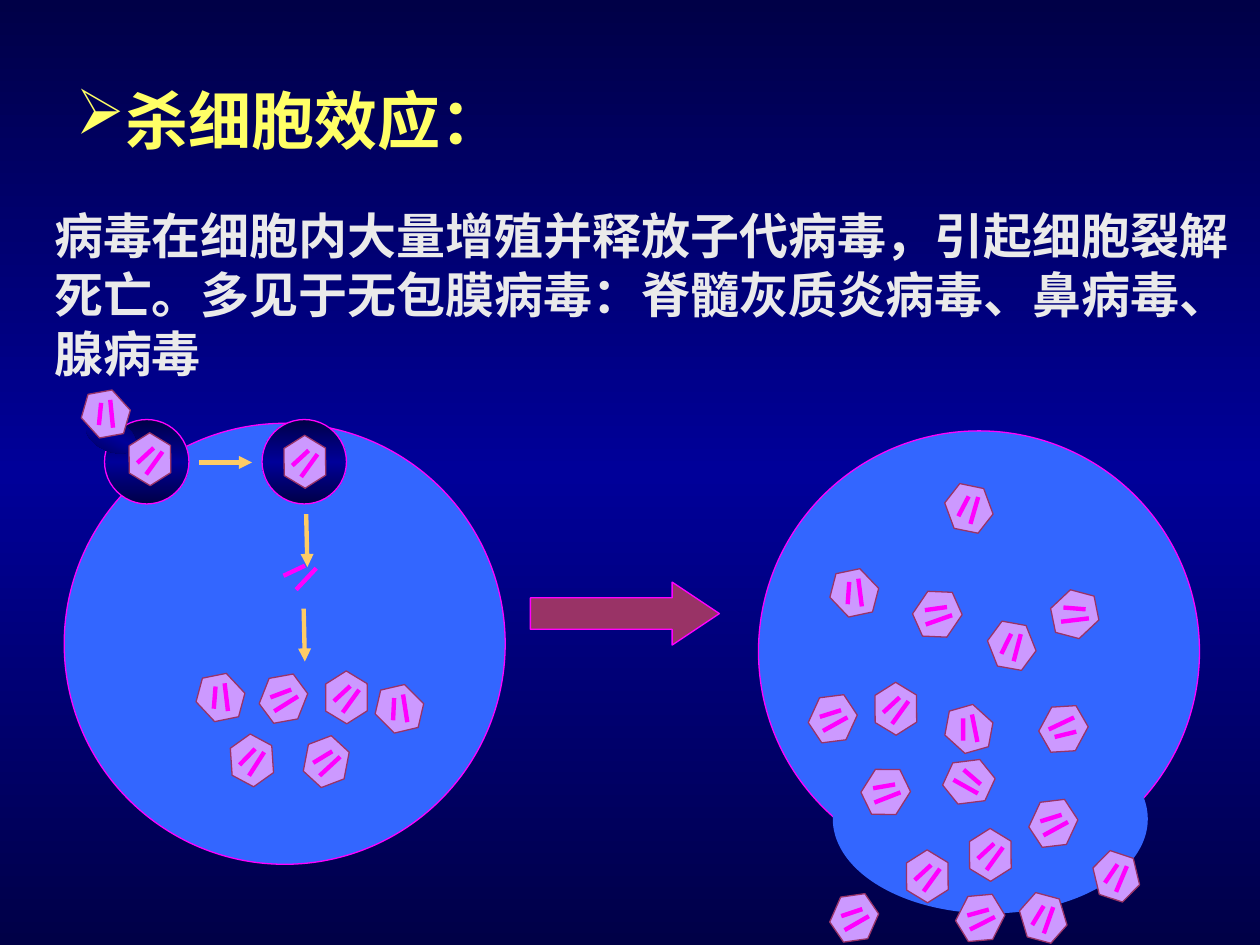
"""Build the slide on the cell-killing effect of viruses."""
from math import cos, radians, sin

from lxml import etree
from pptx import Presentation
from pptx.dml.color import RGBColor
from pptx.enum.shapes import MSO_CONNECTOR, MSO_SHAPE
from pptx.enum.text import MSO_ANCHOR, MSO_AUTO_SIZE, PP_ALIGN
from pptx.oxml.ns import qn
from pptx.util import Inches, Pt

OVAL, HEXAGON, RIGHT_ARROW = MSO_SHAPE.OVAL, MSO_SHAPE.HEXAGON, MSO_SHAPE.RIGHT_ARROW
STRAIGHT = MSO_CONNECTOR.STRAIGHT
LEFT, TOP, NO_FIT = PP_ALIGN.LEFT, MSO_ANCHOR.TOP, MSO_AUTO_SIZE.NONE

NIGHT = RGBColor(0x00, 0x00, 0x47)
NAVY = RGBColor(0x00, 0x00, 0x99)
CELL_BLUE = RGBColor(0x33, 0x66, 0xFF)
MAGENTA = RGBColor(0xFF, 0x00, 0xFF)
LILAC = RGBColor(0xCC, 0x99, 0xFF)
PLUM = RGBColor(0x99, 0x33, 0x66)
AMBER = RGBColor(0xFF, 0xCC, 0x66)
YELLOW = RGBColor(0xFF, 0xFF, 0x66)
PALE = RGBColor(0xEA, 0xEA, 0xEA)
FONT = "Times New Roman"

prs = Presentation()
prs.slide_width, prs.slide_height = Inches(10), Inches(7.5)
COL = prs.slide_width / 10
slide = prs.slides.add_slide(prs.slide_layouts[1])


def add_part(kind, box, fill=None, outline=None, turn=0):
    part = slide.shapes.add_shape(kind, *[int(COL * n) for n in box])
    part.shadow.inherit = False
    part.rotation = turn
    if fill is not None:
        part.fill.solid()
        part.fill.fore_color.rgb = fill
    if outline is None:
        part.line.fill.background()
    else:
        part.line.color.rgb = outline
        part.line.width = Pt(0.75)
    return part


def add_stroke(start, end, color, arrow=False):
    stroke = slide.shapes.add_connector(STRAIGHT, *[int(COL * n) for n in (*start, *end)])
    stroke.line.color.rgb = color
    stroke.line.width = Pt(2.5)
    if arrow:
        etree.SubElement(stroke.line._get_or_add_ln(), qn("a:tailEnd"), type="triangle")
    etree.SubElement(stroke._element.spPr, qn("a:effectLst"))


heading, explanation = slide.placeholders
for holder, box, text, size, color in [
    (heading, (0.5, 0.6, 3.95, 0.7), "杀细胞效应：", 36, YELLOW),
    (explanation, (0.33, 1.58, 9.67, 1.5),
     "病毒在细胞内大量增殖并释放子代病毒，引起细胞裂解死亡。"
     "多见于无包膜病毒：脊髓灰质炎病毒、鼻病毒、腺病毒", 28, PALE),
]:
    holder.left, holder.top, holder.width, holder.height = [int(COL * n) for n in box]
    frame = holder.text_frame
    frame.word_wrap, frame.auto_size, frame.vertical_anchor = True, NO_FIT, TOP
    paragraph = frame.paragraphs[0]
    props = paragraph._p.get_or_add_pPr()
    props.set("marL", "0")
    props.set("indent", "0")
    if holder is heading:
        bullet_color = etree.SubElement(props, qn("a:buClr"))
        etree.SubElement(bullet_color, qn("a:srgbClr"), val=str(YELLOW))
        etree.SubElement(props, qn("a:buChar"), char="➢")
    else:
        etree.SubElement(props, qn("a:buNone"))
    paragraph.alignment = LEFT
    paragraph.space_before = Pt(0)
    run = paragraph.add_run()
    run.text = text
    run.font.name, run.font.size, run.font.bold = FONT, Pt(size), True
    run.font.color.rgb = color

add_part(OVAL, (0.51, 3.36, 3.5, 3.5), CELL_BLUE, MAGENTA)
add_part(OVAL, (6.02, 3.42, 3.5, 3.5), CELL_BLUE, MAGENTA)
add_part(OVAL, (6.61, 5.75, 2.5, 1.5), CELL_BLUE)
entry_pit = add_part(OVAL, (0.83, 3.33, 0.67, 0.67), outline=MAGENTA)
pit_mouth = add_part(OVAL, (0.67, 3.33, 0.42, 0.25), turn=25.1)
vacuole = add_part(OVAL, (2.08, 3.33, 0.67, 0.67), outline=MAGENTA)

for backdrop in (slide.background, entry_pit, pit_mouth, vacuole):
    backdrop.fill.gradient()
    backdrop.fill.gradient_angle = 270
    stops = backdrop.fill._fill._gradFill.find(qn("a:gsLst"))
    for stop in list(stops):
        stops.remove(stop)
    for position, color in [(0, NIGHT), (50, NAVY), (100, NIGHT)]:
        stop = etree.SubElement(stops, qn("a:gs"), pos=str(position * 1000))
        etree.SubElement(stop, qn("a:srgbClr"), val=str(color))

VIRUS_W, VIRUS_H = 0.42, 0.33
UPRIGHT = 269.5
STRANDS = [((0.03, -0.09), (-0.1, 0.03)), ((0.1, -0.06), (-0.03, 0.12))]
viruses = [
    (0.63, 3.12, 227.9), (0.98, 3.48, 269.5), (2.21, 3.5, 269.5),
    (2.96, 5.46, 224.9), (2.54, 5.37, 269.5), (2.38, 5.88, 280.9),
    (2.04, 5.38, 291.6), (1.54, 5.37, 226.8), (1.79, 5.87, 266.3),
    (6.57, 7.12, 293.8), (7.48, 6.04, 352.9), (7.48, 5.62, 222.3),
    (6.82, 6.12, 302.3), (7.82, 4.96, 248.4), (8.32, 4.71, 316.7),
    (7.48, 3.87, 249.8), (7.23, 4.71, 304.2), (6.4, 5.54, 294.6),
    (8.07, 7.12, 253.3), (6.9, 5.46, 269.5), (6.57, 4.54, 226.3),
    (7.57, 7.12, 296.8), (7.15, 6.79, 269.5), (8.65, 6.79, 256.5),
    (7.65, 6.62, 269.5), (8.23, 5.62, 118.3), (8.15, 6.37, 294.9),
]
for left, top, turn in viruses:
    capsid = add_part(HEXAGON, (left, top, VIRUS_W, VIRUS_H), LILAC, PLUM, turn)
    capsid.adjustments[0] = 0.31
    center_x, center_y = left + VIRUS_W / 2, top + VIRUS_H / 2
    c, s = cos(radians(turn - UPRIGHT)), sin(radians(turn - UPRIGHT))
    for strand in STRANDS:
        start, end = [(center_x + x * c - y * s, center_y + x * s + y * c) for x, y in strand]
        add_stroke(start, end, MAGENTA)

for start, end in [((2.42, 4.49), (2.25, 4.57)), ((2.51, 4.51), (2.35, 4.68))]:
    add_stroke(start, end, MAGENTA)

for start, end in [((1.58, 3.67), (2, 3.67)), ((2.43, 4.08), (2.44, 4.5)),
                   ((2.41, 4.83), (2.42, 5.25))]:
    add_stroke(start, end, AMBER, arrow=True)

lysis_arrow = add_part(RIGHT_ARROW, (4.21, 4.62, 1.5, 0.5), PLUM, MAGENTA)
lysis_arrow.adjustments[0], lysis_arrow.adjustments[1] = 0.5, 0.75

prs.save("out.pptx")
